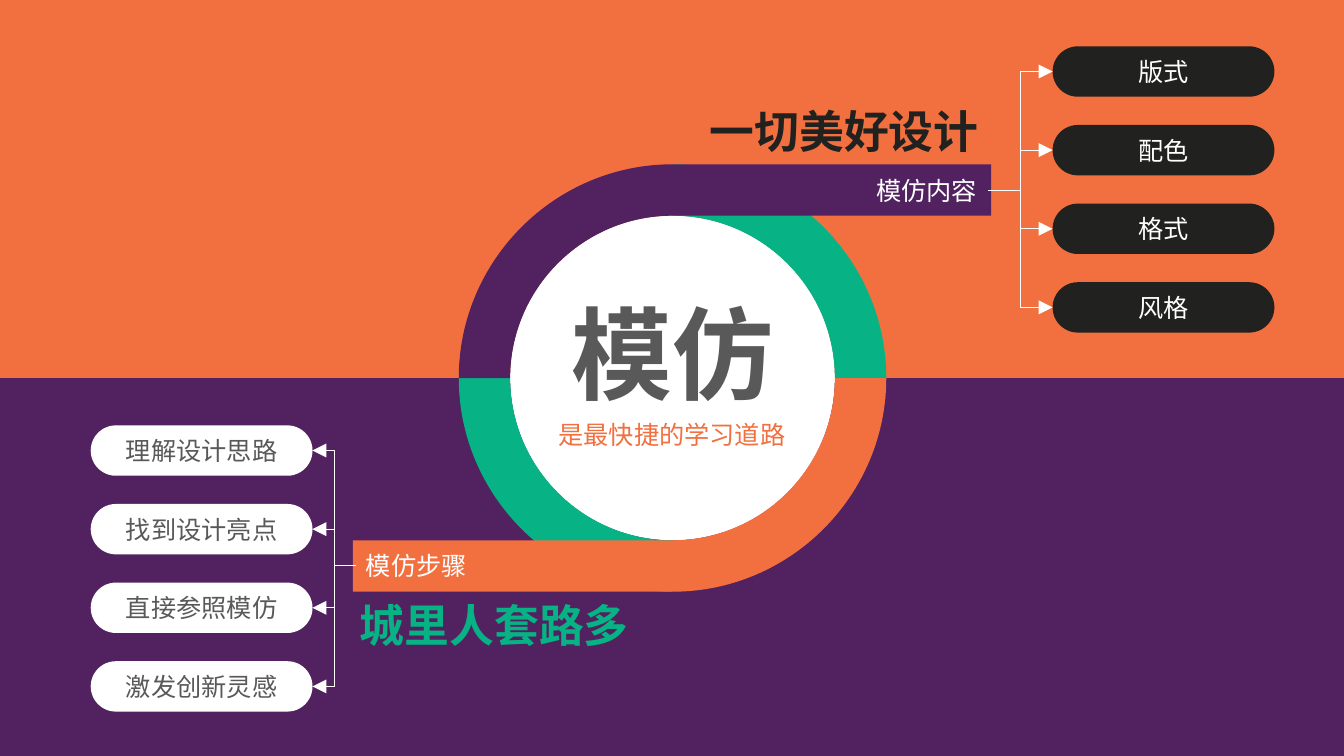
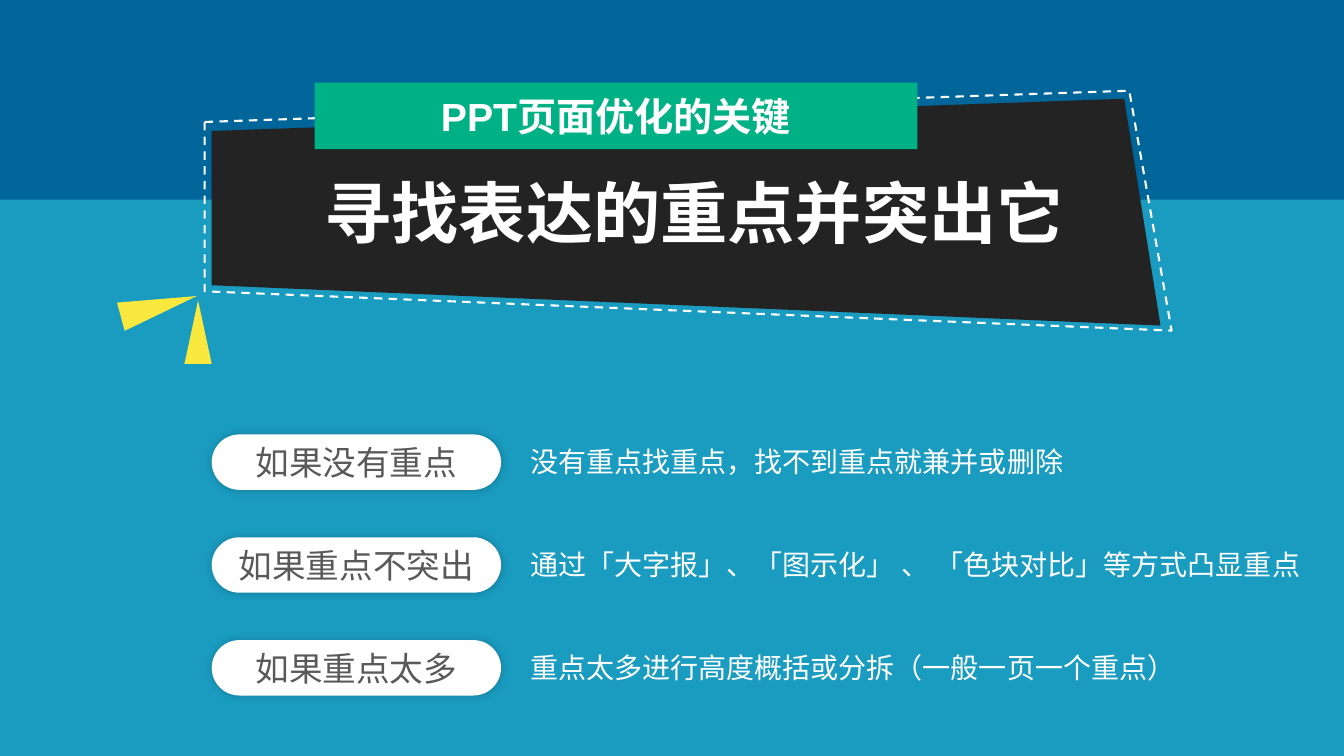
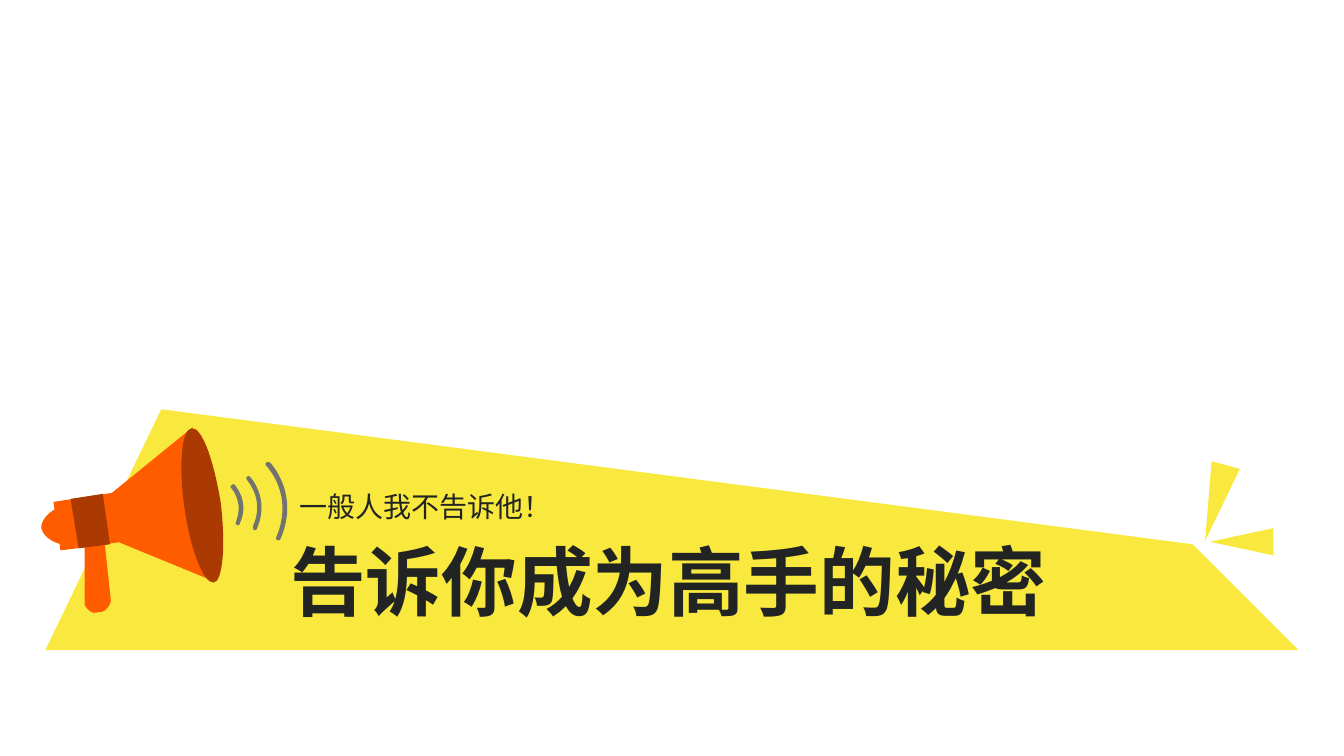
from math import cos, radians, sin

from lxml import etree
from pptx import Presentation
from pptx.dml.color import RGBColor
from pptx.enum.dml import MSO_LINE
from pptx.enum.lang import MSO_LANGUAGE_ID
from pptx.enum.shapes import MSO_CONNECTOR, MSO_SHAPE
from pptx.enum.text import MSO_ANCHOR, MSO_AUTO_SIZE, PP_ALIGN
from pptx.oxml.ns import qn
from pptx.util import Inches, Pt

FONT = "Arial"
WHITE = RGBColor(0xFF, 0xFF, 0xFF)
GREY = RGBColor(0x59, 0x59, 0x59)
BLACK = RGBColor(0x21, 0x21, 0x1F)
CHARCOAL = RGBColor(0x23, 0x23, 0x23)
INK = RGBColor(0x22, 0x24, 0x23)
ORANGE = RGBColor(0xF2, 0x70, 0x3F)
PURPLE = RGBColor(0x52, 0x22, 0x60)
GREEN = RGBColor(0x07, 0xB2, 0x85)
BAR_GREEN = RGBColor(0x00, 0xB1, 0x86)
NAVY = RGBColor(0x00, 0x65, 0x99)
BLUE = RGBColor(0x1A, 0x9C, 0xC0)
YELLOW = RGBColor(0xF9, 0xE9, 0x3E)
HORN = RGBColor(0xFF, 0x5C, 0x00)
HORN_DARK = RGBColor(0xAA, 0x3A, 0x02)
SOUND = RGBColor(0x72, 0x72, 0x70)

prs = Presentation()
prs.slide_width, prs.slide_height = Inches(13.33), Inches(7.5)


def draw(slide, form, box=None, fill=None, edge=None, width=1):
    """Draw a preset shape in a box, or an outline: pairs are corners, sixes are curves."""
    if box:
        shape = slide.shapes.add_shape(form, *map(Inches, box))
    else:
        points = [(Inches(step[i]), Inches(step[i + 1]))
                  for step in form for i in range(0, len(step), 2)]
        builder = slide.shapes.build_freeform(*points[0], scale=1.0)
        builder.add_line_segments(points[1:], close=True)
        shape = builder.convert_to_shape()
        lines = iter(list(shape._element.iter(qn("a:lnTo"))))
        for step in form[1:]:
            line = next(lines)
            if len(step) == 6:
                curve = etree.Element(qn("a:cubicBezTo"))
                line.addprevious(curve)
                for part in (line, next(lines), next(lines)):
                    curve.append(part[0])
                    part.getparent().remove(part)
    shape.shadow.inherit = False
    if fill is None:
        shape.fill.background()
    else:
        shape.fill.solid()
        shape.fill.fore_color.rgb = fill
    if edge is None:
        shape.line.fill.background()
    else:
        shape.line.color.rgb = edge
        shape.line.width = Pt(width)
    if form == MSO_SHAPE.ROUNDED_RECTANGLE:
        shape.adjustments[0] = 0.5
    return shape


def write(slide, text, box=None, inside=None, size=18, color=WHITE, bold=False,
          align=PP_ALIGN.LEFT):
    """Write one line in a new text box, or centred inside a shape."""
    holder = inside or slide.shapes.add_textbox(*map(Inches, box))
    frame = holder.text_frame
    if inside:
        frame.vertical_anchor = MSO_ANCHOR.MIDDLE
        align = PP_ALIGN.CENTER
    else:
        frame.word_wrap = False
        frame.auto_size = MSO_AUTO_SIZE.SHAPE_TO_FIT_TEXT
    paragraph = frame.paragraphs[0]
    paragraph.alignment = align
    run = paragraph.add_run()
    run.text = text
    run.font.name = FONT
    run.font.size = Pt(size)
    run.font.bold = bold
    run.font.color.rgb = color
    run.font.language_id = MSO_LANGUAGE_ID.SIMPLIFIED_CHINESE
    return holder


slides = []
for background in (PURPLE, NAVY, WHITE):
    slide = prs.slides.add_slide(prs.slide_layouts[6])
    slide.background.fill.solid()
    slide.background.fill.fore_color.rgb = background
    slides.append(slide)
imitation, emphasis, secret = slides

# Slide 1: upper half and central ring
draw(imitation, MSO_SHAPE.RECTANGLE, (0, 0, 13.33, 3.75), ORANGE)
CENTER_X, CENTER_Y, OUTER, INNER = 6.67, 3.75, 2.12, 1.61
ARC = 0.55  # control distance of a quarter circle, relative to its radius
draw(imitation, MSO_SHAPE.OVAL,
     (CENTER_X - INNER, CENTER_Y - INNER, 2 * INNER, 2 * INNER), WHITE)
for angle, color, tail_x in ((270, GREEN, None), (90, GREEN, None),
                             (180, PURPLE, 9.83), (0, ORANGE, 3.5)):
    ux, uy = cos(radians(angle)), sin(radians(angle))
    outer, inner = [
        [(CENTER_X + radius * (a * ux - b * uy), CENTER_Y + radius * (a * uy + b * ux))
         for a, b in ((1, 0), (1, ARC), (ARC, 1), (0, 1))]
        for radius in (OUTER, INNER)]
    tail = [(tail_x, outer[3][1]), (tail_x, inner[3][1])] if tail_x else []
    draw(imitation, [outer[0], sum(outer[1:], ()), *tail, inner[3],
                     inner[2] + inner[1] + inner[0]], fill=color)

write(imitation, "模仿", (5.56, 2.84, 2.22, 1.31), size=72, color=GREY, bold=True,
      align=PP_ALIGN.CENTER)
write(imitation, "是最快捷的学习道路", (5.43, 4.11, 2.47, 0.4), color=ORANGE,
      align=PP_ALIGN.CENTER)
write(imitation, "一切美好设计", (6.94, 0.98, 2.89, 0.64), size=32, color=BLACK, bold=True)
write(imitation, "城里人套路多", (3.47, 5.88, 2.89, 0.64), size=32, color=GREEN, bold=True)

# Slide 1: the two branches; sides are 1 left, 3 right
branches = (
    ("模仿内容", (8.59, 1.69, 1.21, 0.4), 3, 10.44, 0.46, 1, BLACK, WHITE,
     ("版式", "配色", "格式", "风格")),
    ("模仿步骤", (3.53, 5.41, 1.21, 0.4), 1, 0.9, 4.22, 3, WHITE, GREY,
     ("理解设计思路", "找到设计亮点", "直接参照模仿", "激发创新灵感")),
)
for heading, box, out_side, left, top, in_side, fill, color, items in branches:
    branch = write(imitation, heading, box)
    for i, item in enumerate(items):
        pill = draw(imitation, MSO_SHAPE.ROUNDED_RECTANGLE,
                    (left, top + 0.78 * i, 2.2, 0.5), fill)
        write(imitation, item, inside=pill, color=color)
        arrow = imitation.shapes.add_connector(MSO_CONNECTOR.ELBOW, 0, 0, 0, 0)
        arrow.begin_connect(branch, out_side)
        arrow.end_connect(pill, in_side)
        arrow.line.color.rgb = WHITE
        arrow.line.width = Pt(0.5)
        etree.SubElement(arrow.line._get_or_add_ln(), qn("a:tailEnd"),
                         type="triangle", w="lg", len="lg")
        etree.SubElement(arrow._element.spPr, qn("a:effectLst"))

# Slide 2: title board
draw(emphasis, MSO_SHAPE.RECTANGLE, (0, 1.98, 13.33, 5.52), BLUE)
draw(emphasis, [(11.51, 3.23), (11.15, 0.98), (2.1, 1.3), (2.1, 2.83), (11.51, 3.23)],
     fill=CHARCOAL)
stitching = draw(emphasis, [(2.03, 1.21), (2.03, 2.89), (11.62, 3.28), (11.2, 0.9)],
                 edge=WHITE, width=1.5)
stitching.line.dash_style = MSO_LINE.DASH
banner = draw(emphasis, MSO_SHAPE.RECTANGLE, (3.12, 0.82, 5.98, 0.66), BAR_GREEN)
write(emphasis, "PPT页面优化的关键", inside=banner, size=28, bold=True)
write(emphasis, "寻找表达的重点并突出它", (3.12, 1.65, 7.61, 0.91), size=48, bold=True)

# Slide 2: cases and advice
cases = (
    ("如果没有重点", "没有重点找重点，找不到重点就兼并或删除", 5.53),
    ("如果重点不突出", "通过「大字报」、「图示化」 、 「色块对比」等方式凸显重点", 7.93),
    ("如果重点太多", "重点太多进行高度概括或分拆（一般一页一个重点）", 6.65),
)
for i, (case, advice, width) in enumerate(cases):
    top = 4.31 + 1.02 * i
    pill = draw(emphasis, MSO_SHAPE.ROUNDED_RECTANGLE, (2.1, top, 2.87, 0.55), WHITE)
    effects = pill._element.spPr.find(qn("a:effectLst"))
    shade = etree.SubElement(effects, qn("a:outerShdw"), blurRad=str(Pt(6)), dist="0",
                             dir="18900000", algn="bl", rotWithShape="0")
    tint = etree.SubElement(shade, qn("a:srgbClr"), val="000000")
    etree.SubElement(tint, qn("a:alpha"), val="20000")
    write(emphasis, case, inside=pill, size=24, color=GREY)
    write(emphasis, advice, (5.16, top + 0.05, width, 0.44), size=20)

# Slide 3: banner and title
draw(secret, [(1.6, 4.06), (0.45, 6.45), (12.88, 6.45), (11.83, 5.4)], fill=YELLOW)
write(secret, "告诉你成为高手的秘密", (2.78, 5.26, 7.78, 1.01), size=54, color=INK, bold=True)
write(secret, "一般人我不告诉他！", (2.87, 4.81, 2.73, 0.44), size=20, color=INK)

# Slide 3: megaphone and its three sound waves
megaphone = (
    (HORN, [(1.98, 4.69), (1.91, 4.24), (1.11, 4.89), (0.53, 4.98), (0.6, 5.46),
            (0.84, 5.43), (0.84, 6), (0.85, 6.03, 0.9, 6.08, 0.93, 6.08), (1.01, 6.07),
            (1.04, 6.07, 1.1, 6, 1.1, 5.96), (1.04, 5.4), (1.18, 5.38), (2.13, 5.77),
            (2.07, 5.33), (2.14, 5.27, 2.06, 4.72, 1.98, 4.69)]),
    (HORN, [(0.41, 5.24), (0.43, 5.34, 0.57, 5.4, 0.62, 5.4), (0.58, 5.04),
            (0.52, 5.05, 0.4, 5.15, 0.41, 5.24)]),
    (HORN_DARK, [(1.83, 5.04), (1.89, 5.46, 2.02, 5.79, 2.12, 5.78),
                 (2.21, 5.77, 2.24, 5.41, 2.19, 4.99), (2.12, 4.56, 2, 4.23, 1.9, 4.25),
                 (1.8, 4.26, 1.77, 4.62, 1.83, 5.04)]),
    (SOUND, [(2.36, 5.21), (2.36, 5.21, 2.35, 5.21, 2.35, 5.21),
             (2.34, 5.2, 2.33, 5.19, 2.34, 5.18), (2.42, 4.98, 2.3, 4.85, 2.3, 4.85),
             (2.28, 4.84, 2.28, 4.82, 2.3, 4.81), (2.31, 4.8, 2.32, 4.8, 2.33, 4.81),
             (2.33, 4.82, 2.48, 4.97, 2.38, 5.19), (2.38, 5.21, 2.37, 5.21, 2.36, 5.21)]),
    (SOUND, [(2.53, 5.26), (2.53, 5.26, 2.52, 5.26, 2.52, 5.26),
             (2.51, 5.25, 2.5, 5.23, 2.51, 5.22), (2.63, 4.95, 2.45, 4.77, 2.45, 4.76),
             (2.44, 4.75, 2.44, 4.74, 2.45, 4.73), (2.46, 4.72, 2.47, 4.72, 2.48, 4.73),
             (2.48, 4.73, 2.68, 4.94, 2.55, 5.24), (2.55, 5.25, 2.54, 5.26, 2.53, 5.26)]),
    (SOUND, [(2.76, 5.36), (2.75, 5.36, 2.75, 5.36, 2.75, 5.36),
             (2.74, 5.35, 2.73, 5.34, 2.74, 5.33), (2.92, 4.91, 2.65, 4.63, 2.64, 4.62),
             (2.63, 4.61, 2.63, 4.59, 2.64, 4.59), (2.65, 4.58, 2.67, 4.58, 2.68, 4.59),
             (2.68, 4.59, 2.98, 4.9, 2.78, 5.35), (2.78, 5.36, 2.77, 5.36, 2.76, 5.36)]),
    (HORN_DARK, [(0.7, 4.95), (0.78, 5.44), (1.09, 5.4), (1.02, 4.9)]),
)
for color, outline in megaphone:
    draw(secret, outline, fill=color)

# Yellow sparks beside the boards on slides 2 and 3
for slide, box, angle in (
        (emphasis, (1.43, 2.65, 0.29, 0.78), 74.8),
        (emphasis, (1.83, 2.98, 0.27, 0.63), 0),
        (secret, (11.91, 4.6, 0.29, 0.78), 195.2),
        (secret, (12.18, 5.06, 0.27, 0.63), 270)):
    spark = draw(slide, MSO_SHAPE.ISOSCELES_TRIANGLE, box, YELLOW)
    spark.rotation = angle

prs.save("out.pptx")
